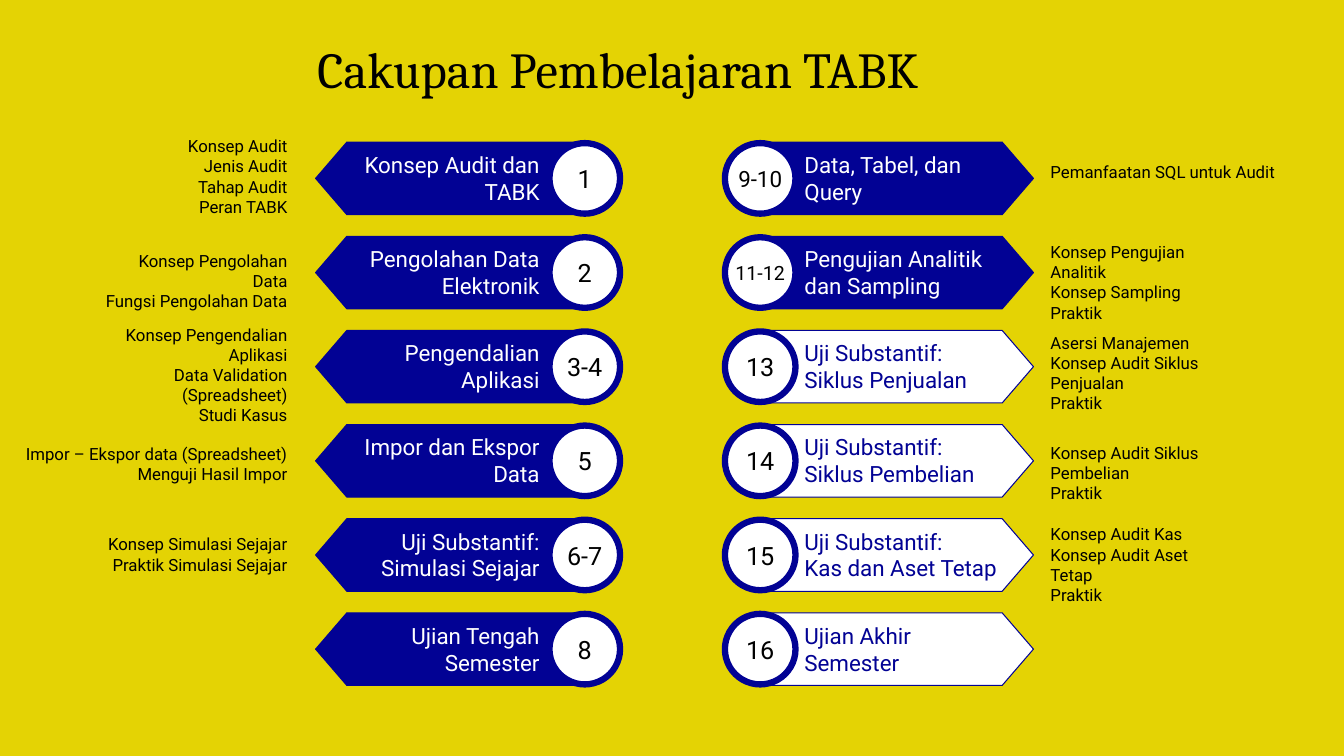
from pptx import Presentation
from pptx.dml.color import RGBColor
from pptx.enum.shapes import MSO_SHAPE as Shape
from pptx.enum.text import MSO_ANCHOR as Anchor, MSO_AUTO_SIZE as AutoSize, PP_ALIGN as Align
from pptx.util import Inches, Pt

COLORS = {"yellow": "E4D304", "navy": "020294", "white": "FFFFFF", "black": "000000"}
FIRST_ROW, LAST_ROW, ROW_COUNT = 1.77, 6.44, 6
ROW_PITCH = (LAST_ROW - FIRST_ROW) / (ROW_COUNT - 1)
BANNER_WIDTH, BANNER_HEIGHT, BANNER_POINT = 3.01, 0.72, 0.31
CIRCLE_SIZE = 0.7
TITLE_WIDTH, TITLE_HEIGHT = 2.19, 0.64
LEFT_SIDE = {"banner": 3.13, "circle": 5.45, "title": 3.26, "align": Align.RIGHT}
RIGHT_SIDE = {"banner": 7.24, "circle": 7.19, "title": 7.88, "align": Align.LEFT}

LEFT_TOPICS = [
    ("1", 18, "Konsep Audit dan TABK", "navy"),
    ("2", 18, "Pengolahan Data Elektronik", "navy"),
    ("3-4", 18, "Pengendalian Aplikasi", "navy"),
    ("5", 18, "Impor dan Ekspor Data", "navy"),
    ("6-7", 18, "Uji Substantif:\nSimulasi Sejajar", "navy"),
    ("8", 18, "Ujian Tengah Semester", "navy"),
]
RIGHT_TOPICS = [
    ("9-10", 16, "Data, Tabel, dan Query", "navy"),
    ("11-12", 14, "Pengujian Analitik dan Sampling", "navy"),
    ("13", 18, "Uji Substantif:\nSiklus Penjualan", "white"),
    ("14", 18, "Uji Substantif:\nSiklus Pembelian", "white"),
    ("15", 18, "Uji Substantif:\nKas dan Aset Tetap", "white"),
    ("16", 18, "Ujian Akhir Semester", "white"),
]
LEFT_NOTES_EDGE, RIGHT_NOTES_EDGE = 2.95, 10.32
LEFT_NOTES = [
    (1.3, 1.2, 0.91, "Konsep Audit\nJenis Audit\nTahap Audit\nPeran TABK"),
    (2.44, 2.06, 0.5, "Konsep Pengolahan Data\nFungsi Pengolahan Data"),
    (3.17, 2.41, 0.71, "Konsep Pengendalian Aplikasi\nData Validation (Spreadsheet)\nStudi Kasus"),
    (4.35, 2.89, 0.5, "Impor – Ekspor data (Spreadsheet)\nMenguji Hasil Impor"),
    (5.25, 2.89, 0.5, "Konsep Simulasi Sejajar\nPraktik Simulasi Sejajar"),
]
RIGHT_NOTES = [
    (1.56, 2.43, 0.3, "Pemanfaatan SQL untuk Audit"),
    (2.35, 2.12, 0.71, "Konsep Pengujian Analitik\nKonsep Sampling\nPraktik"),
    (3.25, 2.42, 0.71, "Asersi Manajemen\nKonsep Audit Siklus Penjualan\nPraktik"),
    (4.34, 2.48, 0.5, "Konsep Audit Siklus Pembelian\nPraktik"),
    (5.15, 2.01, 0.71, "Konsep Audit Kas\nKonsep Audit Aset Tetap\nPraktik"),
]


class SlideBuilder:
    """Draws the course topics on one slide in a shared style."""

    def __init__(self, page, font="Roboto"):
        self.page = page
        self.font = font
        background = page.background.fill
        background.solid()
        background.fore_color.rgb = self.color("yellow")

    def color(self, name):
        return RGBColor.from_string(COLORS[name])

    def fill_frame(self, frame, text, size, color, align, font=None):
        style = {"name": font or self.font, "size": Pt(size)}
        for index, line in enumerate(text.split("\n")):
            para = frame.paragraphs[0] if index == 0 else frame.add_paragraph()
            para.alignment = align
            span = para.add_run()
            span.text = line
            for key, value in style.items():
                setattr(span.font, key, value)
            span.font.color.rgb = self.color(color)

    def text(self, left, top, width, height, text, size, color="black", align=Align.LEFT, font=None):
        box = self.page.shapes.add_textbox(Inches(left), Inches(top), Inches(width), Inches(height))
        for key, value in {"word_wrap": True, "auto_size": AutoSize.SHAPE_TO_FIT_TEXT}.items():
            setattr(box.text_frame, key, value)
        self.fill_frame(box.text_frame, text, size, color, align, font)

    def shape(self, kind, left, top, width, height, fill, line_width):
        shape = self.page.shapes.add_shape(kind, Inches(left), Inches(top), Inches(width), Inches(height))
        shape.shadow.inherit = False
        shape.fill.solid()
        shape.fill.fore_color.rgb = self.color(fill)
        shape.line.color.rgb = self.color("navy")
        shape.line.width = Pt(line_width)
        return shape

    def banner(self, left, middle, fill):
        banner = self.shape(Shape.HEXAGON, left, middle - BANNER_HEIGHT / 2,
                            BANNER_WIDTH, BANNER_HEIGHT, fill, 0.75)
        banner.adjustments[0] = BANNER_POINT / BANNER_HEIGHT

    def circle(self, left, middle, number, size):
        circle = self.shape(Shape.OVAL, left, middle - CIRCLE_SIZE / 2,
                            CIRCLE_SIZE, CIRCLE_SIZE, "white", 4.5)
        layout = {"word_wrap": False, "vertical_anchor": Anchor.MIDDLE, "margin_left": 0,
                  "margin_right": 0, "margin_top": 0, "margin_bottom": 0}
        for key, value in layout.items():
            setattr(circle.text_frame, key, value)
        self.fill_frame(circle.text_frame, number, size, "black", Align.CENTER)

    def topics(self, side, topics):
        for row, (number, size, title, fill) in enumerate(topics):
            middle = FIRST_ROW + row * ROW_PITCH
            self.banner(side["banner"], middle, fill)
            self.circle(side["circle"], middle, number, size)
            self.text(side["title"], middle - TITLE_HEIGHT / 2, TITLE_WIDTH, TITLE_HEIGHT, title, 16,
                      "white" if fill == "navy" else "navy", side["align"])

    def notes(self, notes, edge, align):
        for top, width, height, text in notes:
            left = edge - width if align == Align.RIGHT else edge
            self.text(left, top, width, height, text, 12, align=align)


def main():
    deck = Presentation()
    deck.slide_width, deck.slide_height = Inches(13.33), Inches(7.5)
    builder = SlideBuilder(deck.slides.add_slide(deck.slide_layouts[6]))
    builder.text(3.05, 0.33, 7.2, 0.71, "Cakupan Pembelajaran TABK", 36, font="Cambria")
    builder.topics(LEFT_SIDE, LEFT_TOPICS)
    builder.topics(RIGHT_SIDE, RIGHT_TOPICS)
    builder.notes(LEFT_NOTES, LEFT_NOTES_EDGE, Align.RIGHT)
    builder.notes(RIGHT_NOTES, RIGHT_NOTES_EDGE, Align.LEFT)
    deck.save("out.pptx")


if __name__ == "__main__":
    main()
